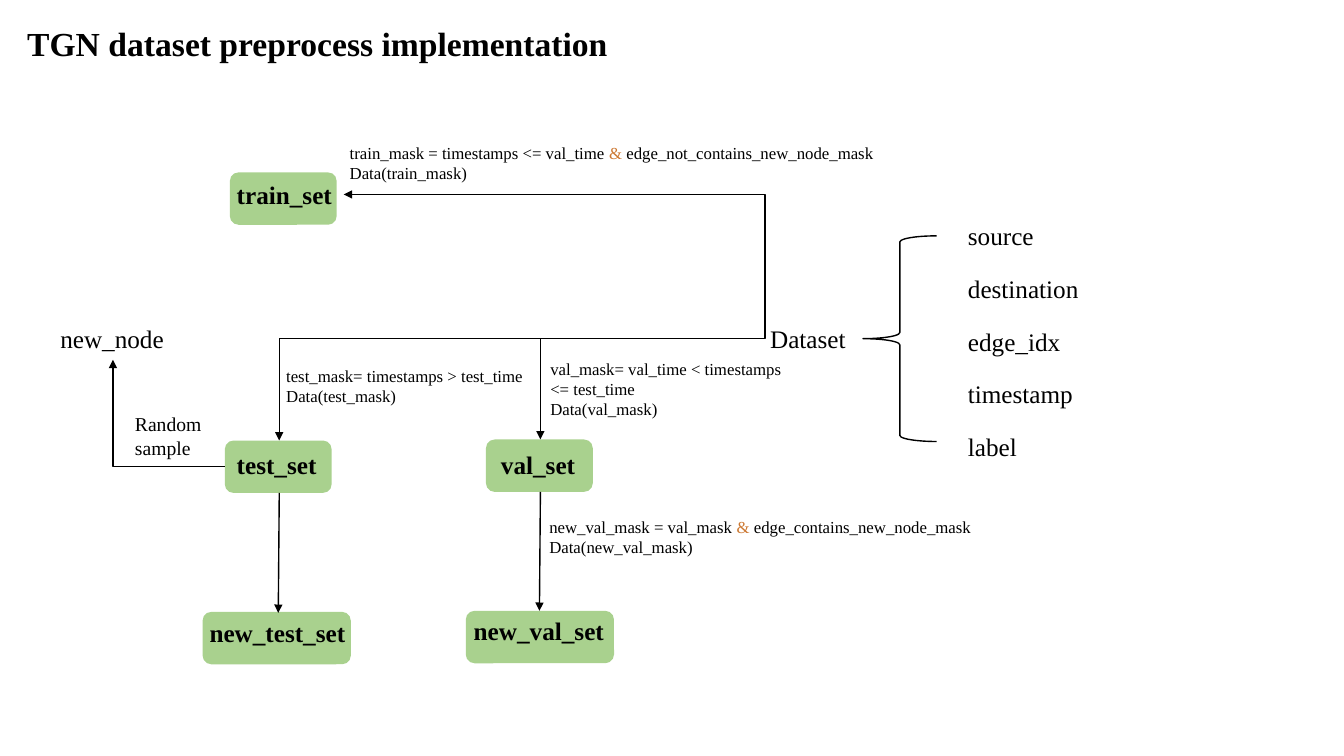
from lxml.etree import SubElement
from pptx import Presentation
from pptx.dml.color import RGBColor
from pptx.enum.shapes import MSO_CONNECTOR, MSO_SHAPE
from pptx.enum.text import MSO_ANCHOR, MSO_AUTO_SIZE, PP_ALIGN
from pptx.oxml.ns import qn
from pptx.util import Inches, Pt

BLACK = RGBColor(0x00, 0x00, 0x00)
GREEN = RGBColor(0xA9, 0xD1, 0x8E)
ORANGE = RGBColor(0xCC, 0x78, 0x32)
FONT = "Times New Roman"
BOX_HEIGHT = 0.52
LABEL_HEIGHT = 0.4


def place(shape, left, top, width, height):
    shape.left, shape.top = Inches(left), Inches(top)
    shape.width, shape.height = Inches(width), Inches(height)


def format_text(text_frame, size, bold=False):
    for paragraph in text_frame.paragraphs:
        paragraph.alignment = PP_ALIGN.LEFT
        for run in paragraph.runs:
            run.font.name = FONT
            run.font.size = Pt(size)
            run.font.bold = bold
            run.font.color.rgb = ORANGE if run.text == "& " else BLACK


def add_label(slide, text, left, top, width, height=LABEL_HEIGHT,
              size=18, bold=False):
    text_frame = slide.shapes.add_textbox(
        Inches(left), Inches(top), Inches(width), Inches(height)).text_frame
    text_frame.word_wrap = False
    text_frame.text = text
    format_text(text_frame, size, bold)


def add_code(slide, lines, left, top, width, height=0.5):
    """Add wrapped code lines, with the & operator as a run of its own."""
    text_frame = slide.shapes.add_textbox(
        Inches(left), Inches(top), Inches(width), Inches(height)).text_frame
    text_frame.word_wrap = True
    for index, line in enumerate(lines):
        paragraph = text_frame.add_paragraph() if index else text_frame.paragraphs[0]
        for part in filter(None, line.partition("& ")):
            paragraph.add_run().text = part
    format_text(text_frame, 12)


def add_set_box(slide, left, top, width):
    box = slide.shapes.add_shape(
        MSO_SHAPE.ROUNDED_RECTANGLE,
        Inches(left), Inches(top), Inches(width), Inches(BOX_HEIGHT))
    box.shadow.inherit = False
    box.fill.solid()
    box.fill.fore_color.rgb = GREEN
    box.line.fill.background()


def add_arrow(slide, start, end, kind=MSO_CONNECTOR.STRAIGHT):
    arrow = slide.shapes.add_connector(
        kind, *(Inches(value) for value in (*start, *end)))
    arrow.line.color.rgb = BLACK
    arrow.line.width = Pt(1)
    SubElement(arrow.line._get_or_add_ln(), qn("a:tailEnd"), type="triangle")
    SubElement(arrow.element.spPr, qn("a:effectLst"))
    return arrow.element.spPr.find(qn("a:prstGeom"))


def add_corner_arrow(slide, start, end):
    """Add an arrow that runs sideways, then turns once."""
    geometry = add_arrow(slide, start, end, MSO_CONNECTOR.ELBOW)
    geometry.set("prst", "bentConnector2")


def add_detour_arrow(slide, start, end, bend):
    """Add an arrow with two turns; bend is in 1/100000 of its width."""
    geometry = add_arrow(slide, start, end, MSO_CONNECTOR.ELBOW)
    SubElement(geometry.find(qn("a:avLst")), qn("a:gd"),
               name="adj1", fmla=f"val {bend}")


def add_brace(slide, left, top, width, height):
    brace = slide.shapes.add_shape(
        MSO_SHAPE.LEFT_BRACE,
        Inches(left), Inches(top), Inches(width), Inches(height))
    brace.shadow.inherit = False
    brace.fill.background()
    brace.line.color.rgb = BLACK
    brace.line.width = Pt(1)


def fill_title(title, text):
    place(title, 0.17, 0.18, 6.01, 0.5)
    text_frame = title.text_frame
    text_frame.text = text
    text_frame.word_wrap = False
    text_frame.auto_size = MSO_AUTO_SIZE.NONE
    text_frame.vertical_anchor = MSO_ANCHOR.TOP
    format_text(text_frame, 24, bold=True)


def fill_fields(body, fields):
    place(body, 9.5, 2.14, 1.31, 2.44)
    text_frame = body.text_frame
    text_frame.text = "\n".join(fields)
    text_frame.word_wrap = False
    text_frame.auto_size = MSO_AUTO_SIZE.NONE
    format_text(text_frame, 18)
    for paragraph in text_frame.paragraphs:
        paragraph.space_before = Pt(0)
        paragraph.space_after = Pt(16)
        properties = paragraph._p.get_or_add_pPr()
        properties.set("marL", "0")
        properties.set("indent", "0")
        SubElement(properties, qn("a:buNone"))


def main():
    presentation = Presentation()
    presentation.slide_width = Inches(13.33)
    presentation.slide_height = Inches(7.5)
    slide = presentation.slides.add_slide(presentation.slide_layouts[1])

    # Title and the fields of the dataset
    fill_title(slide.shapes.title, "TGN dataset preprocess implementation")
    fill_fields(slide.placeholders[1],
                ["source", "destination", "edge_idx", "timestamp", "label"])
    add_brace(slide, 8.56, 2.34, 0.73, 2.04)

    # Sets: name, box left, top and width, label left, top and width
    sets = [
        ("train_set", 2.28, 1.71, 1.06, 2.25, 1.73, 1.16),
        ("test_set", 2.23, 4.37, 1.06, 2.25, 4.41, 1.0),
        ("val_set", 4.82, 4.36, 1.06, 4.87, 4.41, 0.95),
        ("new_test_set", 2.01, 6.07, 1.47, 1.98, 6.08, 1.57),
        ("new_val_set", 4.62, 6.06, 1.47, 4.6, 6.06, 1.51),
    ]
    for name, left, top, width, *label_place in sets:
        add_set_box(slide, left, top, width)
        add_label(slide, name, *label_place, bold=True)

    # Plain labels
    add_label(slide, "Dataset", 7.54, 3.16, 0.96)
    add_label(slide, "new_node", 0.5, 3.16, 1.24)
    add_label(slide, "Random\nsample", 1.24, 4.04, 0.87, 0.57, size=14)

    # Arrows
    dataset = (7.54, 3.36)
    add_corner_arrow(slide, dataset, (2.77, 4.37))
    add_corner_arrow(slide, dataset, (5.36, 4.36))
    add_corner_arrow(slide, (2.23, 4.63), (1.12, 3.57))
    add_detour_arrow(slide, dataset, (3.41, 1.93), bend=-1200)
    add_arrow(slide, (5.36, 4.88), (5.35, 6.06))
    add_arrow(slide, (2.77, 4.89), (2.76, 6.08))

    # Masks that define the sets
    add_code(slide, ["train_mask = timestamps <= val_time & edge_not_contains_new_node_mask",
                     "Data(train_mask)"], 3.37, 1.37, 6.67)
    add_code(slide, ["test_mask= timestamps > test_time", "Data(test_mask)"],
             2.74, 3.58, 2.56)
    add_code(slide, ["val_mask= val_time < timestamps <= test_time", "Data(val_mask)"],
             5.36, 3.51, 2.56, 0.71)
    add_code(slide, ["new_val_mask = val_mask & edge_contains_new_node_mask",
                     "Data(new_val_mask)"], 5.35, 5.08, 6.67)

    presentation.save("out.pptx")


main()
